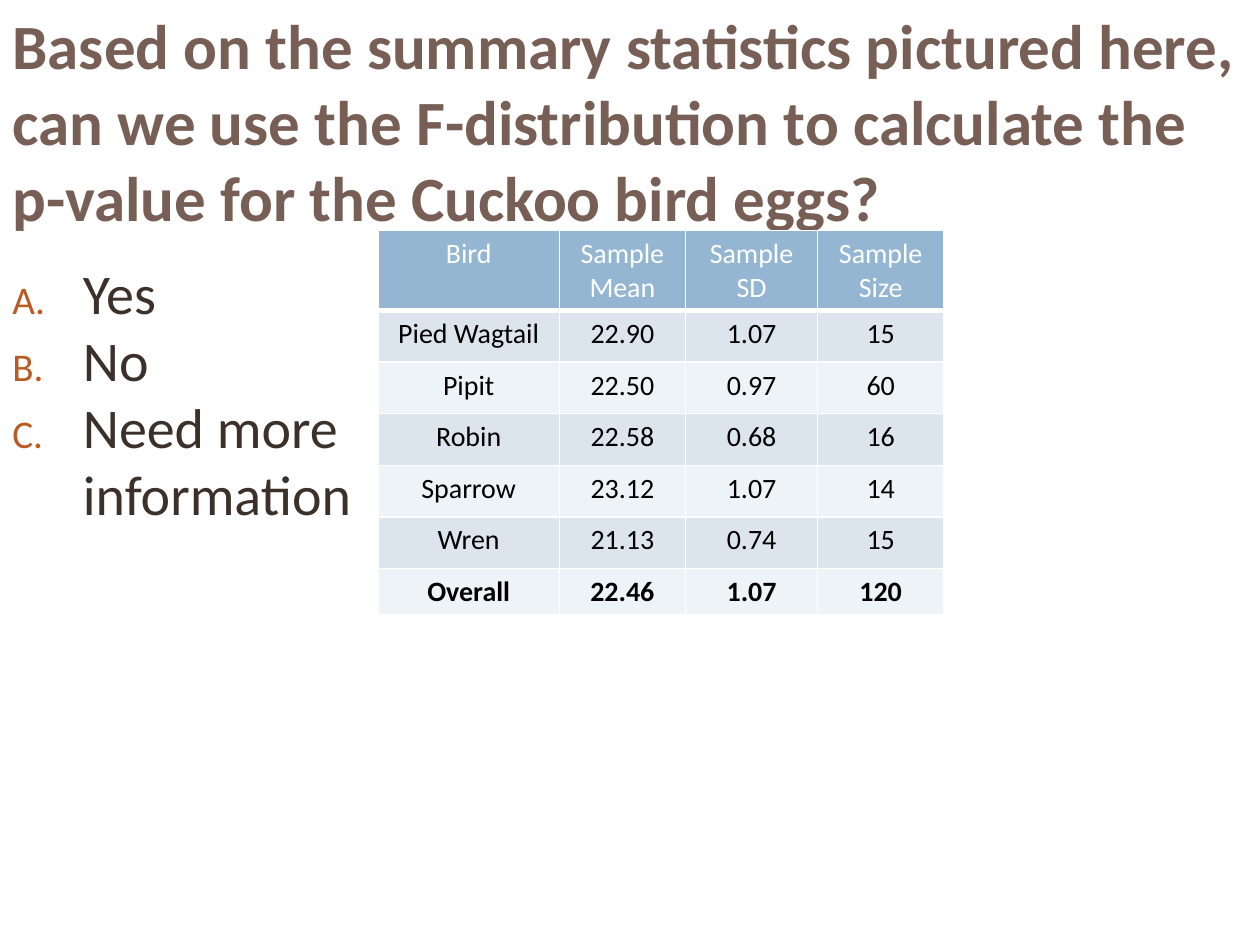
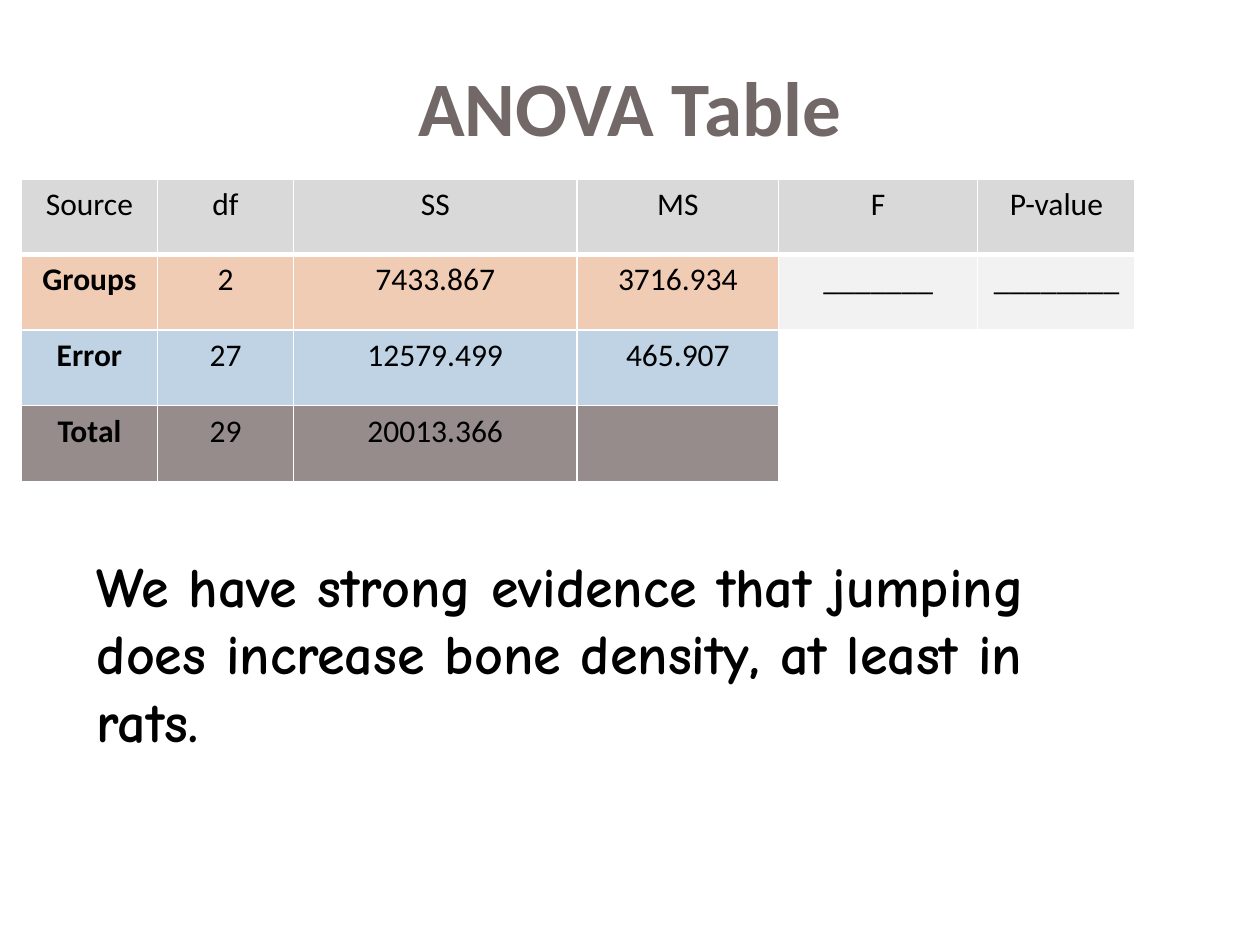
from dataclasses import dataclass

import lxml.etree
import pptx
import pptx.dml.color
import pptx.enum.text
import pptx.oxml.ns
import pptx.util

Inches = pptx.util.Inches
Pt = pptx.util.Pt
ANCHOR = pptx.enum.text.MSO_ANCHOR
ALIGN = pptx.enum.text.PP_ALIGN
qn = pptx.oxml.ns.qn


@dataclass(frozen=True)
class Theme:
    font: str = "Calibri"
    remark_font: str = "Comic Neue"
    black: str = "000000"
    white: str = "FFFFFF"
    question: str = "775F55"
    heading: str = "726868"
    answer: str = "3C302A"
    letter: str = "B95B22"
    bird_header: str = "94B6D2"
    bird_bands: tuple = ("DCE5EE", "EEF3F7")
    anova_header: str = "D9D9D9"
    groups: str = "F1CCB5"
    error: str = "BFD3E4"
    total: str = "968C8C"
    blank: str = "F2F2F2"
    question_size: int = 36
    heading_size: int = 44
    body_size: int = 32
    bird_size: int = 16
    anova_size: int = 18


THEME = Theme()

BIRDS = [
    ("Bird", "Sample\nMean", "Sample\nSD", "Sample\nSize"),
    ("Pied Wagtail", "22.90", "1.07", "15"),
    ("Pipit", "22.50", "0.97", "60"),
    ("Robin", "22.58", "0.68", "16"),
    ("Sparrow", "23.12", "1.07", "14"),
    ("Wren", "21.13", "0.74", "15"),
    ("Overall", "22.46", "1.07", "120"),
]

ANOVA = [
    ("Source", "df", "SS", "MS", "F", "P-value"),
    ("Groups", "2", "7433.867", "3716.934", "_______", "________"),
    ("Error", "27", "12579.499", "465.907", "", ""),
    ("Total", "29", "20013.366", "", "", ""),
]


def rgb(color):
    return pptx.dml.color.RGBColor.from_string(color)


def format_text(tf, size, color, bold=False, font=THEME.font, align=None):
    for p in tf.paragraphs:
        p.alignment = align
        for r in p.runs:
            r.font.name = font
            r.font.size = Pt(size)
            r.font.bold = bold
            r.font.color.rgb = rgb(color)


def place(sp, left, top, width, height):
    sp.left, sp.top = Inches(left), Inches(top)
    sp.width, sp.height = Inches(width), Inches(height)


def add_title_slide(prs, text, box, size, color, align, anchor):
    s = prs.slides.add_slide(prs.slide_layouts[5])
    title = s.shapes.title
    place(title, *box)
    tf = title.text_frame
    tf.text = text
    tf.auto_size = pptx.enum.text.MSO_AUTO_SIZE.NONE
    tf.vertical_anchor = anchor
    format_text(tf, size, color, bold=True, align=align)
    return s


def add_text(s, text, box):
    sp = s.shapes.add_textbox(*map(Inches, box))
    tf = sp.text_frame
    tf.word_wrap = True
    tf.text = text
    return tf


def add_letters(p, indent):
    """Number a paragraph A., B., C. with a smaller, coloured letter."""
    pPr = p._p.get_or_add_pPr()
    pPr.set("marL", str(Inches(indent)))
    pPr.set("indent", str(-Inches(indent)))
    color = lxml.etree.SubElement(pPr, qn("a:buClr"))
    lxml.etree.SubElement(color, qn("a:srgbClr"), val=THEME.letter)
    lxml.etree.SubElement(pPr, qn("a:buSzPct"), val="70000")
    lxml.etree.SubElement(pPr, qn("a:buFont"), typeface=THEME.font)
    lxml.etree.SubElement(pPr, qn("a:buAutoNum"), type="alphaUcPeriod")


def set_borders(cell, bottom):
    """Draw white cell borders; must come before the cell's fill."""
    tcPr = cell._tc.get_or_add_tcPr()
    for side, width in (("L", 1), ("R", 1), ("T", 1), ("B", bottom)):
        ln = lxml.etree.SubElement(tcPr, qn(f"a:ln{side}"), w=str(Pt(width)))
        fill = lxml.etree.SubElement(ln, qn("a:solidFill"))
        lxml.etree.SubElement(fill, qn("a:srgbClr"), val=THEME.white)


def add_grid(s, rows, left, top, widths, heights, size, style):
    """Add a table; style(row, column) gives fill, text colour and bold."""
    frame = s.shapes.add_table(len(rows), len(widths), Inches(left), Inches(top),
                               Inches(sum(widths)), Inches(sum(heights)))
    table = frame.table
    for column, width in zip(table.columns, widths):
        column.width = Inches(width)
    for i, (row, height) in enumerate(zip(rows, heights)):
        table.rows[i].height = Inches(height)
        for j, text in enumerate(row):
            cell = table.cell(i, j)
            fill, color, bold = style(i, j)
            set_borders(cell, bottom=1 if i else 3)
            cell.fill.solid()
            cell.fill.fore_color.rgb = rgb(fill)
            cell.text_frame.text = text
            format_text(cell.text_frame, size, color, bold, align=ALIGN.CENTER)


def bird_style(i, j):
    if i == 0:
        return THEME.bird_header, THEME.white, False
    return THEME.bird_bands[(i - 1) % 2], THEME.black, i == len(BIRDS) - 1


def anova_style(i, j):
    row_fills = (THEME.anova_header, THEME.groups, THEME.error, THEME.total)
    fill = row_fills[i]
    if i > 0 and j > 3:
        fill = THEME.blank if i == 1 else THEME.white
    return fill, THEME.black, i > 0 and j == 0


def add_question_slide(prs):
    s = add_title_slide(
        prs,
        "Based on the summary statistics pictured here, can we use the "
        "F-distribution to calculate the p-value for the Cuckoo bird eggs?",
        (0, 0.08, 10, 1.75), THEME.question_size, THEME.question,
        ALIGN.LEFT, ANCHOR.MIDDLE)
    tf = add_text(s, "Yes\nNo\nNeed more information", (0, 2, 3.83, 3.08))
    for p in tf.paragraphs:
        add_letters(p, 0.56)
    format_text(tf, THEME.body_size, THEME.answer)
    add_grid(s, BIRDS, 3, 1.83, (1.44, 1, 1.05, 1), [0.41] * 6 + [0.15],
             THEME.bird_size, bird_style)


def add_anova_slide(prs):
    s = add_title_slide(prs, "ANOVA Table", (0.54, 0.42, 8.92, 1.33),
                        THEME.heading_size, THEME.heading,
                        ALIGN.CENTER, ANCHOR.TOP)
    tf = add_text(s, "We have strong evidence that jumping does increase bone "
                     "density, at least in rats.", (0.67, 4.33, 8.33, 1.18))
    format_text(tf, THEME.body_size, THEME.black, bold=True,
                font=THEME.remark_font)
    add_grid(s, ANOVA, 0.17, 1.42, (1.08, 1.08, 2.25, 1.6, 1.58, 1.25),
             [0.6] * 4, THEME.anova_size, anova_style)


def main():
    prs = pptx.Presentation()
    prs.slide_width, prs.slide_height = Inches(10), Inches(7.5)
    add_question_slide(prs)
    add_anova_slide(prs)
    prs.save("out.pptx")


if __name__ == "__main__":
    main()
